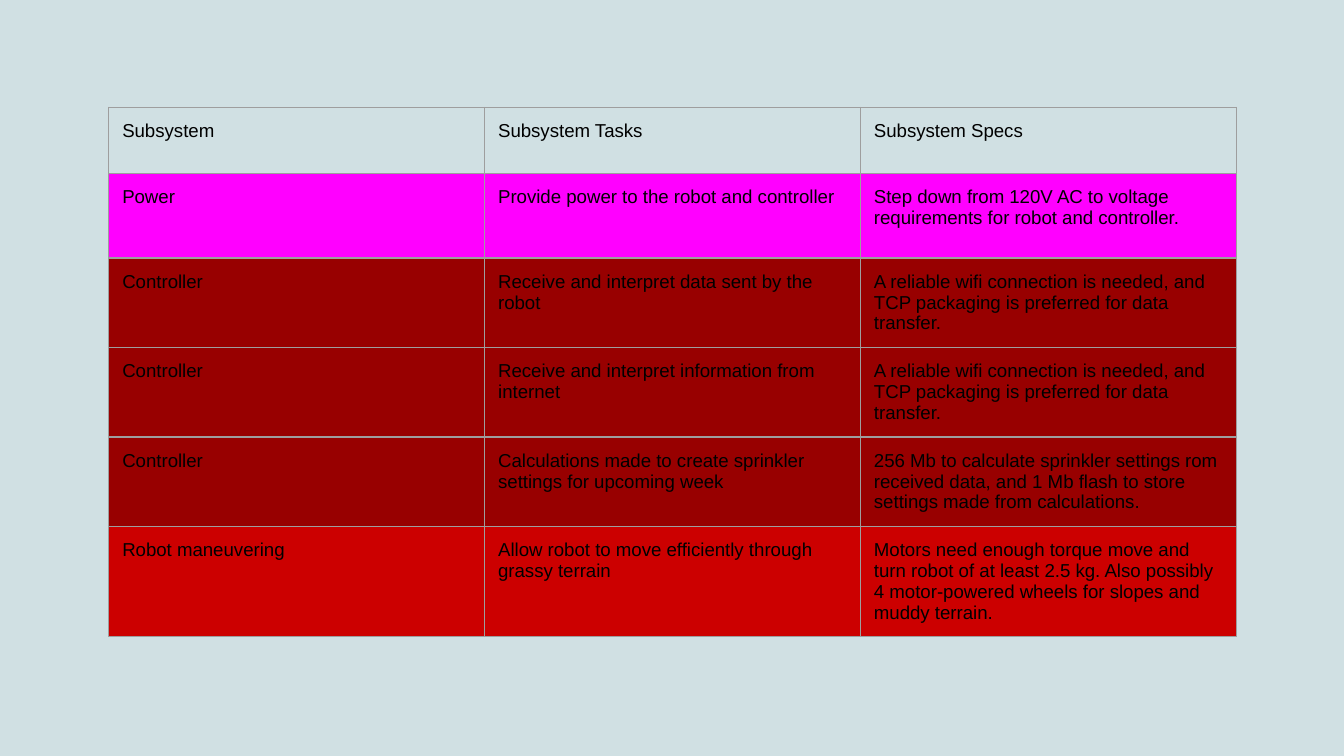
from lxml import etree
from pptx import Presentation
from pptx.dml.color import RGBColor
from pptx.oxml.ns import qn
from pptx.util import Inches, Pt

BLANK = 6
WIDE = 10
HIGH = WIDE * 9 / 16
LINE = "9E9E9E"
WIFI = ("A reliable wifi connection is needed, and TCP packaging "
        "is preferred for data transfer.")
ROWS = [
    (None, "Subsystem", "Subsystem Tasks", "Subsystem Specs"),
    ("FF00FF", "Power", "Provide power to the robot and controller",
     "Step down from 120V AC to voltage requirements for robot and controller."),
    ("980000", "Controller", "Receive and interpret data sent by the robot", WIFI),
    ("980000", "Controller", "Receive and interpret information from internet", WIFI),
    ("980000", "Controller",
     "Calculations made to create sprinkler settings for upcoming week",
     "256 Mb to calculate sprinkler settings rom received data, "
     "and 1 Mb flash to store settings made from calculations."),
    ("CC0000", "Robot maneuvering",
     "Allow robot to move efficiently through grassy terrain",
     "Motors need enough torque move and turn robot of at least 2.5 kg. "
     "Also possibly 4 motor-powered wheels for slopes and muddy terrain."),
]


def paint(fill, color):
    fill.solid()
    fill.fore_color.rgb = RGBColor.from_string(color)


def add_edges(cell):
    props = cell._tc.get_or_add_tcPr()
    for side in ("lnL", "lnR", "lnT", "lnB"):
        line = etree.SubElement(props, qn("a:" + side), w=str(Pt(0.75)))
        solid = etree.SubElement(line, qn("a:solidFill"))
        etree.SubElement(solid, qn("a:srgbClr"), val=LINE)


def fill_cell(cell, text, color):
    add_edges(cell)
    if color:
        paint(cell.fill, color)
    else:
        cell.fill.background()
    cell.margin_left = cell.margin_right = Inches(0.1)
    cell.margin_top = cell.margin_bottom = Inches(0.1)
    run = cell.text_frame.paragraphs[0].add_run()
    run.text = text
    run.font.name = "Arial"
    run.font.size = Pt(10)
    run.font.color.rgb = RGBColor.from_string("000000")


def add_grid(slide, left, top, width, head, body):
    count = len(ROWS[0]) - 1
    high = head + body * (len(ROWS) - 1)
    frame = slide.shapes.add_table(len(ROWS), count, Inches(left), Inches(top),
                                   Inches(width), Inches(high))
    table = frame.table
    table.first_row = False
    table.horz_banding = False
    for col in table.columns:
        col.width = Inches(width / count)
    for i, (color, *texts) in enumerate(ROWS):
        table.rows[i].height = Inches(body if i else head)
        for j, text in enumerate(texts):
            fill_cell(table.cell(i, j), text, color)


def main():
    deck = Presentation()
    deck.slide_width = Inches(WIDE)
    deck.slide_height = Inches(HIGH)
    slide = deck.slides.add_slide(deck.slide_layouts[BLANK])
    paint(slide.background.fill, "D0E0E3")
    add_grid(slide, left=0.81, top=0.8, width=8.39, head=0.49, body=0.63)
    deck.save("out.pptx")


if __name__ == "__main__":
    main()
